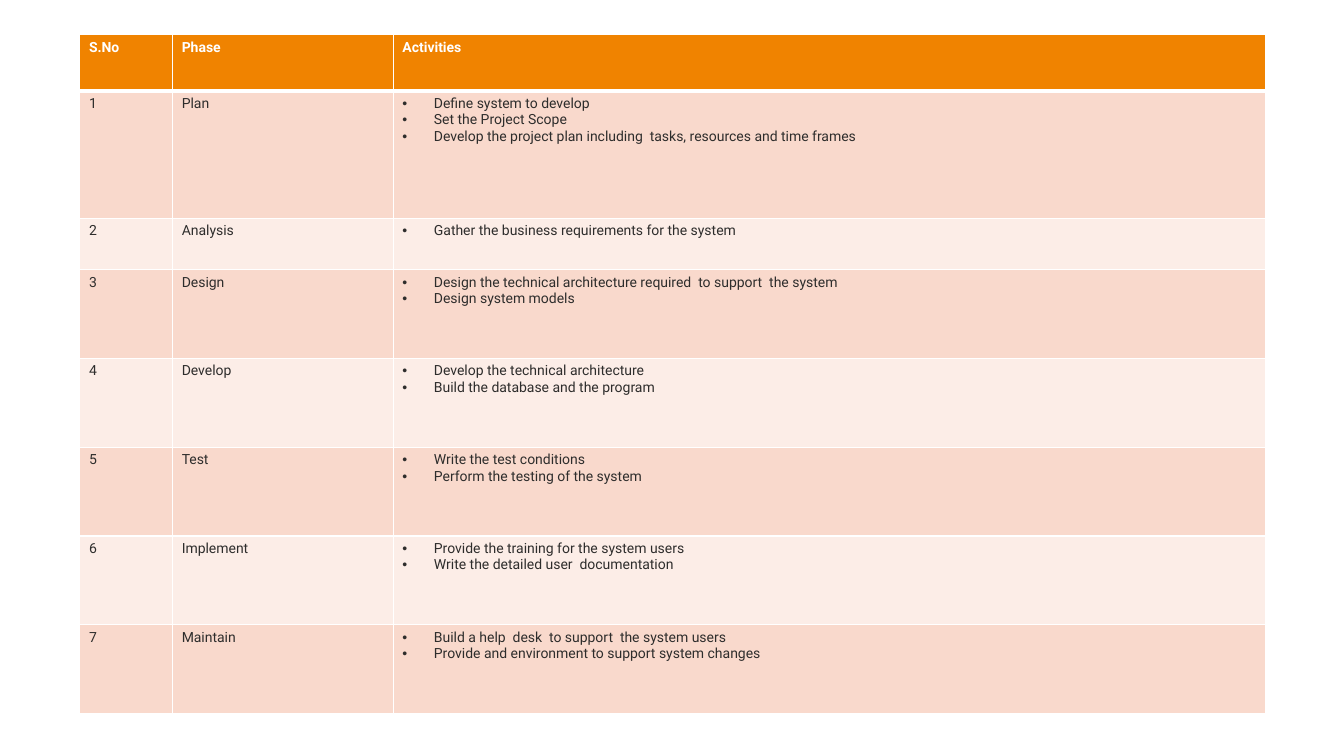
from dataclasses import dataclass

from lxml.etree import SubElement
from pptx import Presentation
from pptx.dml.color import RGBColor as Rgb
from pptx.oxml.ns import qn
from pptx.util import Pt


@dataclass(frozen=True)
class Theme:
    font: str = "Roboto"
    size: float = 10
    header_fill: str = "F08300"
    header_text: str = "FFFFFF"
    body_text: str = "2E2D2C"
    bands: tuple = ("F9D9CC", "FCEDE7")
    border: str = "FFFFFF"
    thin: float = 1
    thick: float = 3


THEME = Theme()
HEADINGS = ("S.No", "Phase", "Activities")
PHASES = (
    ("Plan", ("Define system to develop", "Set the Project Scope",
              "Develop the project plan including  tasks, resources and time frames")),
    ("Analysis", ("Gather the business requirements for the system",)),
    ("Design", ("Design the technical architecture required  to support  the system",
                "Design system models")),
    ("Develop", ("Develop the technical architecture",
                 "Build the database and the program")),
    ("Test", ("Write the test conditions", "Perform the testing of the system")),
    ("Implement", ("Provide the training for the system users",
                   "Write the detailed user  documentation")),
    ("Maintain", ("Build a help  desk  to support  the system users",
                  "Provide and environment to support system changes")),
)
COLUMN_WIDTHS = (66.25, 157.65, 622.8)
ROW_HEIGHTS = (40.3, 90.7, 36.7) + (63.4,) * 5
BULLET_INDENT = Pt(22.5)


def set_borders(cell, top, bottom):
    properties = cell._tc.get_or_add_tcPr()
    sides = {"L": THEME.thin, "R": THEME.thin, "T": top, "B": bottom}
    for side, width in sides.items():
        line = SubElement(properties, qn(f"a:ln{side}"), w=str(Pt(width)))
        fill = SubElement(line, qn("a:solidFill"))
        SubElement(fill, qn("a:srgbClr"), val=THEME.border)


def add_bullet(paragraph):
    properties = paragraph._p.get_or_add_pPr()
    properties.set("marL", str(BULLET_INDENT))
    properties.set("indent", str(-BULLET_INDENT))
    SubElement(properties, qn("a:buFont"), typeface="Arial")
    SubElement(properties, qn("a:buChar"), char="•")


def fill_cell(cell, lines, row, bulleted):
    is_header = row == 0
    set_borders(cell,
                top=THEME.thick if row == 1 else THEME.thin,
                bottom=THEME.thick if is_header else THEME.thin)
    cell.fill.solid()
    background = THEME.header_fill if is_header else THEME.bands[(row - 1) % 2]
    cell.fill.fore_color.rgb = Rgb.from_string(background)
    cell.margin_left = cell.margin_right = Pt(6.6)
    cell.margin_top = cell.margin_bottom = Pt(3.3)
    cell.text = "\n".join(lines)
    for paragraph in cell.text_frame.paragraphs:
        paragraph.font.name = THEME.font
        paragraph.font.size = Pt(THEME.size)
        paragraph.font.bold = is_header
        paragraph.font.color.rgb = Rgb.from_string(
            THEME.header_text if is_header else THEME.body_text)
        if bulleted:
            add_bullet(paragraph)


def add_phase_table(slide, left, top, width, height):
    records = [[(heading,) for heading in HEADINGS]]
    records += [[(str(number),), (phase,), activities]
                for number, (phase, activities) in enumerate(PHASES, 1)]
    phase_table = slide.shapes.add_table(
        len(records), len(HEADINGS), Pt(left), Pt(top), Pt(width), Pt(height)).table
    for column, share in zip(phase_table.columns, COLUMN_WIDTHS):
        column.width = Pt(width * share / sum(COLUMN_WIDTHS))
    for row, share in zip(phase_table.rows, ROW_HEIGHTS):
        row.height = Pt(height * share / sum(ROW_HEIGHTS))
    for row, record in enumerate(records):
        for column, lines in enumerate(record):
            fill_cell(phase_table.cell(row, column), lines, row,
                      bulleted=row > 0 and column == 2)


def main():
    deck = Presentation()
    deck.slide_width, deck.slide_height = Pt(960), Pt(540)
    slide = deck.slides.add_slide(deck.slide_layouts[6])
    add_phase_table(slide, 57, 24.7, 846.7, 485.2)
    deck.save("out.pptx")


if __name__ == "__main__":
    main()
